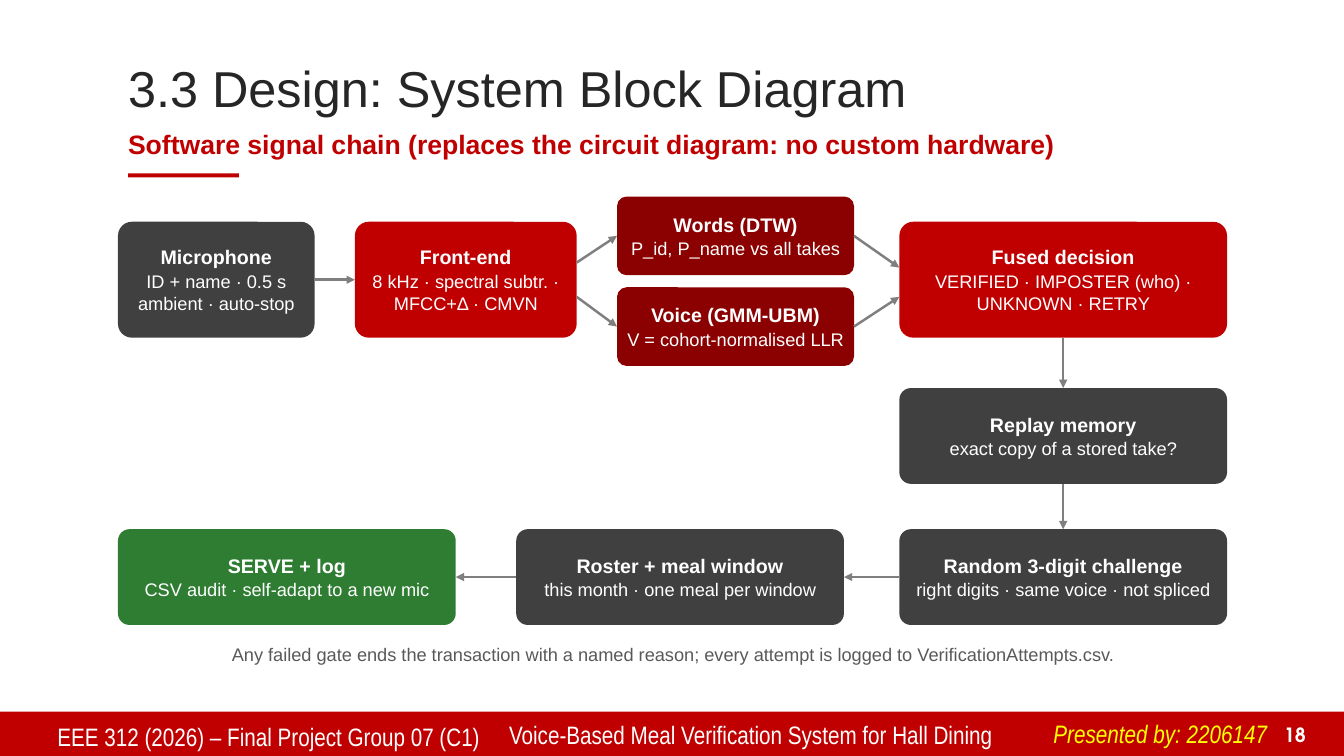
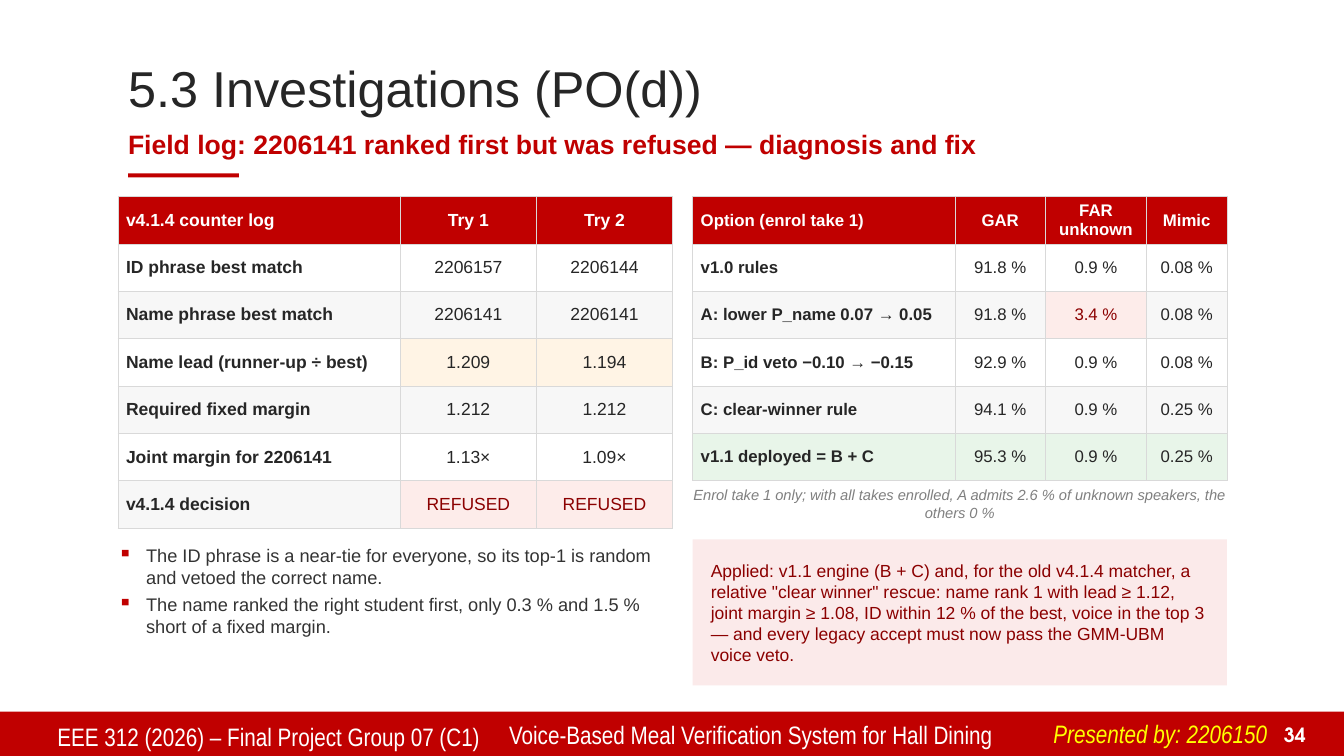
from lxml import etree
from pptx import Presentation
from pptx.dml.color import RGBColor
from pptx.enum.shapes import MSO_CONNECTOR, MSO_SHAPE
from pptx.enum.text import MSO_ANCHOR as ANCHOR, MSO_AUTO_SIZE, PP_ALIGN as ALIGN
from pptx.oxml.ns import qn
from pptx.util import Emu, Pt

EMU_PER_PX = 9144
WIDTH, HEIGHT = 1333, 750
LEFT, CONTENT_WIDTH = 117, 1100
TITLE_ONLY = 5
TOP, LEFT_SIDE, BOTTOM, RIGHT_SIDE = range(4)

BODY_FONT, FOOTER_FONT, NUMBER_FONT = "Arial", "Arial Narrow", "TeX Gyre Adventor"

RED = RGBColor(0xC0, 0x00, 0x00)
DARK_RED = RGBColor(0x8B, 0x00, 0x00)
GREEN = RGBColor(0x2E, 0x7D, 0x32)
CHARCOAL = RGBColor(0x40, 0x40, 0x40)
INK = RGBColor(0x26, 0x26, 0x26)
BULLET_INK = RGBColor(0x33, 0x33, 0x33)
NOTE_GREY = RGBColor(0x59, 0x59, 0x59)
GREY = RGBColor(0x7F, 0x7F, 0x7F)
BORDER = RGBColor(0xD9, 0xD9, 0xD9)
STRIPE = RGBColor(0xF7, 0xF7, 0xF7)
WHITE = RGBColor(0xFF, 0xFF, 0xFF)
YELLOW = RGBColor(0xFF, 0xFF, 0x00)
PALE_RED = RGBColor(0xFD, 0xEC, 0xEA)
PALE_ORANGE = RGBColor(0xFF, 0xF4, 0xE5)
PALE_GREEN = RGBColor(0xE8, 0xF5, 0xE9)
CALLOUT_FILL = RGBColor(0xFB, 0xEA, 0xEA)


def px(*lengths):
    return [Emu(length * EMU_PER_PX) for length in lengths]


def write(paragraph, text, size, color, bold=False, italic=False,
          font=BODY_FONT, align=ALIGN.LEFT, after=0):
    paragraph.alignment = align
    paragraph.space_after = Pt(after)
    run = paragraph.add_run()
    run.text = text
    run.font.name = font
    run.font.size = Pt(size)
    run.font.bold = bold
    run.font.italic = italic
    run.font.color.rgb = color


def set_margins(target, horizontal, vertical):
    target.margin_left = target.margin_right = px(horizontal)[0]
    target.margin_top = target.margin_bottom = px(vertical)[0]


def prepare_frame(frame, anchor=ANCHOR.TOP, horizontal=0, vertical=0):
    frame.word_wrap = True
    frame.auto_size = MSO_AUTO_SIZE.NONE
    frame.vertical_anchor = anchor
    set_margins(frame, horizontal, vertical)
    return frame


def add_text(slide, box, text, size, color, anchor=ANCHOR.TOP, margins=(0, 0), **style):
    frame = prepare_frame(slide.shapes.add_textbox(*px(*box)).text_frame, anchor, *margins)
    write(frame.paragraphs[0], text, size, color, **style)


def add_box(slide, box, fill, preset=MSO_SHAPE.RECTANGLE):
    shape = slide.shapes.add_shape(preset, *px(*box))
    shape.shadow.inherit = False
    shape.fill.solid()
    shape.fill.fore_color.rgb = fill
    shape.line.fill.background()
    return shape


def add_node(slide, box, fill, heading, detail):
    shape = add_box(slide, box, fill, MSO_SHAPE.ROUNDED_RECTANGLE)
    shape.adjustments[0] = 0.12
    frame = prepare_frame(shape.text_frame, ANCHOR.MIDDLE, 4)
    write(frame.paragraphs[0], heading, 14, WHITE, bold=True, align=ALIGN.CENTER, after=1)
    write(frame.add_paragraph(), detail, 13, WHITE, align=ALIGN.CENTER, after=1)
    return shape


def side_point(shape, side, shift):
    x, y = shape.left + shape.width // 2, shape.top + shape.height // 2
    if side in (LEFT_SIDE, RIGHT_SIDE):
        x = shape.left + (shape.width if side == RIGHT_SIDE else 0)
        return Emu(x), Emu(y + px(shift)[0])
    y = shape.top + (shape.height if side == BOTTOM else 0)
    return Emu(x + px(shift)[0]), Emu(y)


def add_arrow(slide, source, source_side, target, target_side, source_shift=0, target_shift=0):
    begin = side_point(source, source_side, source_shift)
    end = side_point(target, target_side, target_shift)
    arrow = slide.shapes.add_connector(MSO_CONNECTOR.STRAIGHT, *begin, *end)
    if not source_shift:
        arrow.begin_connect(source, source_side)
    if not target_shift:
        arrow.end_connect(target, target_side)
    arrow.line.color.rgb = GREY
    arrow.line.width = Pt(1.75)
    etree.SubElement(arrow.line._get_or_add_ln(), qn("a:tailEnd"), type="triangle")
    etree.SubElement(arrow.element.spPr, qn("a:effectLst"))


def add_bullets(slide, box, items):
    frame = prepare_frame(slide.shapes.add_textbox(*px(*box)).text_frame)
    indent = px(28)[0]
    for index, item in enumerate(items):
        paragraph = frame.add_paragraph() if index else frame.paragraphs[0]
        properties = paragraph._p.get_or_add_pPr()
        properties.set("marL", str(indent))
        properties.set("indent", str(-indent))
        bullet_color = etree.SubElement(properties, qn("a:buClr"))
        etree.SubElement(bullet_color, qn("a:srgbClr"), val=str(RED))
        etree.SubElement(properties, qn("a:buSzPct"), val="110000")
        etree.SubElement(properties, qn("a:buChar"), char="▪")
        write(paragraph, item, 13, BULLET_INK, after=4)


def add_borders(cell):
    properties = cell._tc.get_or_add_tcPr()
    for edge in ("lnL", "lnR", "lnT", "lnB"):
        line = etree.SubElement(properties, qn(f"a:{edge}"), w=str(Pt(0.5)))
        fill = etree.SubElement(line, qn("a:solidFill"))
        etree.SubElement(fill, qn("a:srgbClr"), val=str(BORDER))


def add_table(slide, left, top, widths, rows, size, highlights):
    row_height = 47
    box = px(left, top, sum(widths), row_height * len(rows))
    table = slide.shapes.add_table(len(rows), len(widths), *box).table
    table.first_row = table.horz_banding = False
    for column, width in zip(table.columns, px(*widths)):
        column.width = width
    for row_index, row in enumerate(rows):
        table.rows[row_index].height = px(row_height)[0]
        header = row_index == 0
        if header:
            base = RED, WHITE
        else:
            base = (WHITE if row_index % 2 else STRIPE), INK
        for column_index, text in enumerate(row):
            cell = table.cell(row_index, column_index)
            fill, color = highlights.get((row_index, column_index), base)
            add_borders(cell)
            cell.fill.solid()
            cell.fill.fore_color.rgb = fill
            cell.vertical_anchor = ANCHOR.MIDDLE
            set_margins(cell, 8, 4)
            write(cell.text_frame.paragraphs[0], text, size, color,
                  bold=header or column_index == 0,
                  align=ALIGN.CENTER if column_index else ALIGN.LEFT)


def add_layout_band(layout, slide):
    band = add_box(slide, (0, 706, WIDTH, 44), RED)
    layout.shapes.element.append(band.element)


def add_footer(slide, number, presenter):
    footer = {"font": FOOTER_FONT, "margins": (10, 5)}
    add_text(slide, (47, 711, 445, 39), "EEE 312 (2026) – Final Project Group 07 (C1)",
             18, WHITE, **footer)
    add_text(slide, (495, 709, 535, 41), "Voice-Based Meal Verification System for Hall Dining",
             18, WHITE, **footer)
    add_text(slide, (1248, 711, 57, 34), number, 14, WHITE, ANCHOR.BOTTOM, (10, 5),
             bold=True, font=NUMBER_FONT, align=ALIGN.RIGHT)
    add_text(slide, (1035, 708, 242, 40), f"Presented by: {presenter}",
             18, YELLOW, italic=True, **footer)


def add_content_slide(presentation, title, subtitle, number, presenter):
    slide = presentation.slides.add_slide(presentation.slide_layouts[TITLE_ONLY])
    heading = slide.shapes.title
    heading.left, heading.top, heading.width, heading.height = px(LEFT, 50, CONTENT_WIDTH, 80)
    frame = prepare_frame(heading.text_frame, ANCHOR.MIDDLE, 10, 5)
    write(frame.paragraphs[0], title, 36, INK)
    frame.paragraphs[0].line_spacing = 0.9
    add_footer(slide, number, presenter)
    add_text(slide, (127, 120, 1090, 46), subtitle, 19, RED, ANCHOR.MIDDLE, bold=True, after=6)
    add_box(slide, (127, 172, 110, 4), RED)
    return slide


def fill_block_diagram(slide):
    right_column, lower_row = 892, 525
    microphone = add_node(slide, (LEFT, 220, 195, 115), CHARCOAL,
                          "Microphone", "ID + name · 0.5 s ambient · auto-stop")
    front_end = add_node(slide, (352, 220, 220, 115), RED,
                         "Front-end", "8 kHz · spectral subtr. · MFCC+Δ · CMVN")
    words = add_node(slide, (612, 195, 235, 78), DARK_RED,
                     "Words (DTW)", "P_id, P_name vs all takes")
    voice = add_node(slide, (612, 285, 235, 78), DARK_RED,
                     "Voice (GMM-UBM)", "V = cohort-normalised LLR")
    decision = add_node(slide, (right_column, 220, 325, 115), RED,
                        "Fused decision", "VERIFIED · IMPOSTER (who) · UNKNOWN · RETRY")
    replay = add_node(slide, (right_column, 385, 325, 95), CHARCOAL,
                      "Replay memory", "exact copy of a stored take?")
    challenge = add_node(slide, (right_column, lower_row, 325, 95), CHARCOAL,
                         "Random 3-digit challenge", "right digits · same voice · not spliced")
    roster = add_node(slide, (512, lower_row, 325, 95), CHARCOAL,
                      "Roster + meal window", "this month · one meal per window")
    serve = add_node(slide, (LEFT, lower_row, 335, 95), GREEN,
                     "SERVE + log", "CSV audit · self-adapt to a new mic")

    add_arrow(slide, microphone, RIGHT_SIDE, front_end, LEFT_SIDE)
    add_arrow(slide, front_end, RIGHT_SIDE, words, LEFT_SIDE, source_shift=-17)
    add_arrow(slide, front_end, RIGHT_SIDE, voice, LEFT_SIDE, source_shift=17)
    add_arrow(slide, words, RIGHT_SIDE, decision, LEFT_SIDE, target_shift=-12)
    add_arrow(slide, voice, RIGHT_SIDE, decision, LEFT_SIDE, target_shift=17)
    add_arrow(slide, decision, BOTTOM, replay, TOP)
    add_arrow(slide, replay, BOTTOM, challenge, TOP)
    add_arrow(slide, challenge, LEFT_SIDE, roster, RIGHT_SIDE)
    add_arrow(slide, roster, LEFT_SIDE, serve, RIGHT_SIDE)

    add_text(slide, (LEFT, 638, CONTENT_WIDTH, 45),
             "Any failed gate ends the transaction with a named reason; "
             "every attempt is logged to VerificationAttempts.csv.",
             13, NOTE_GREY, align=ALIGN.CENTER, after=6)


def fill_investigations(slide):
    table_top, right_column, right_width = 195, 687, 530
    counter_log = [
        ("v4.1.4 counter log", "Try 1", "Try 2"),
        ("ID phrase best match", "2206157", "2206144"),
        ("Name phrase best match", "2206141", "2206141"),
        ("Name lead (runner-up ÷ best)", "1.209", "1.194"),
        ("Required fixed margin", "1.212", "1.212"),
        ("Joint margin for 2206141", "1.13×", "1.09×"),
        ("v4.1.4 decision", "REFUSED", "REFUSED"),
    ]
    log_highlights = {}
    for column in (1, 2):
        log_highlights[3, column] = PALE_ORANGE, INK
        log_highlights[6, column] = PALE_RED, DARK_RED
    add_table(slide, LEFT, table_top, (280, 135, 135), counter_log, 12.5, log_highlights)
    add_bullets(slide, (LEFT, 540, 550, 145), (
        "The ID phrase is a near-tie for everyone, so its top-1 is random "
        "and vetoed the correct name.",
        "The name ranked the right student first, only 0.3 % and 1.5 % short of a fixed margin.",
    ))

    options = [
        ("Option (enrol take 1)", "GAR", "FAR unknown", "Mimic"),
        ("v1.0 rules", "91.8 %", "0.9 %", "0.08 %"),
        ("A: lower P_name 0.07 → 0.05", "91.8 %", "3.4 %", "0.08 %"),
        ("B: P_id veto −0.10 → −0.15", "92.9 %", "0.9 %", "0.08 %"),
        ("C: clear-winner rule", "94.1 %", "0.9 %", "0.25 %"),
        ("v1.1 deployed = B + C", "95.3 %", "0.9 %", "0.25 %"),
    ]
    option_highlights = {(5, column): (PALE_GREEN, INK) for column in range(4)}
    option_highlights[2, 2] = PALE_RED, DARK_RED
    add_table(slide, right_column, table_top, (260, 90, 100, 80), options, 12, option_highlights)
    add_text(slide, (right_column, 482, right_width, 30),
             "Enrol take 1 only; with all takes enrolled, A admits 2.6 % of unknown speakers, "
             "the others 0 %", 10.5, GREY, italic=True, align=ALIGN.CENTER, after=6)

    callout = add_box(slide, (right_column, 535, right_width, 145), CALLOUT_FILL)
    frame = prepare_frame(callout.text_frame, ANCHOR.MIDDLE, 18, 6)
    write(frame.paragraphs[0],
          'Applied: v1.1 engine (B + C) and, for the old v4.1.4 matcher, a relative '
          '"clear winner" rescue: name rank 1 with lead ≥ 1.12, joint margin ≥ 1.08, '
          'ID within 12 % of the best, voice in the top 3 — and every legacy accept '
          'must now pass the GMM-UBM voice veto.', 12.5, DARK_RED)


def main():
    presentation = Presentation()
    presentation.slide_width, presentation.slide_height = px(WIDTH, HEIGHT)
    diagram = add_content_slide(
        presentation, "3.3 Design: System Block Diagram",
        "Software signal chain (replaces the circuit diagram: no custom hardware)",
        "18", "2206147")
    add_layout_band(presentation.slide_layouts[TITLE_ONLY], diagram)
    fill_block_diagram(diagram)
    investigations = add_content_slide(
        presentation, "5.3 Investigations (PO(d))",
        "Field log: 2206141 ranked first but was refused — diagnosis and fix",
        "34", "2206150")
    fill_investigations(investigations)
    presentation.save("out.pptx")


if __name__ == "__main__":
    main()
